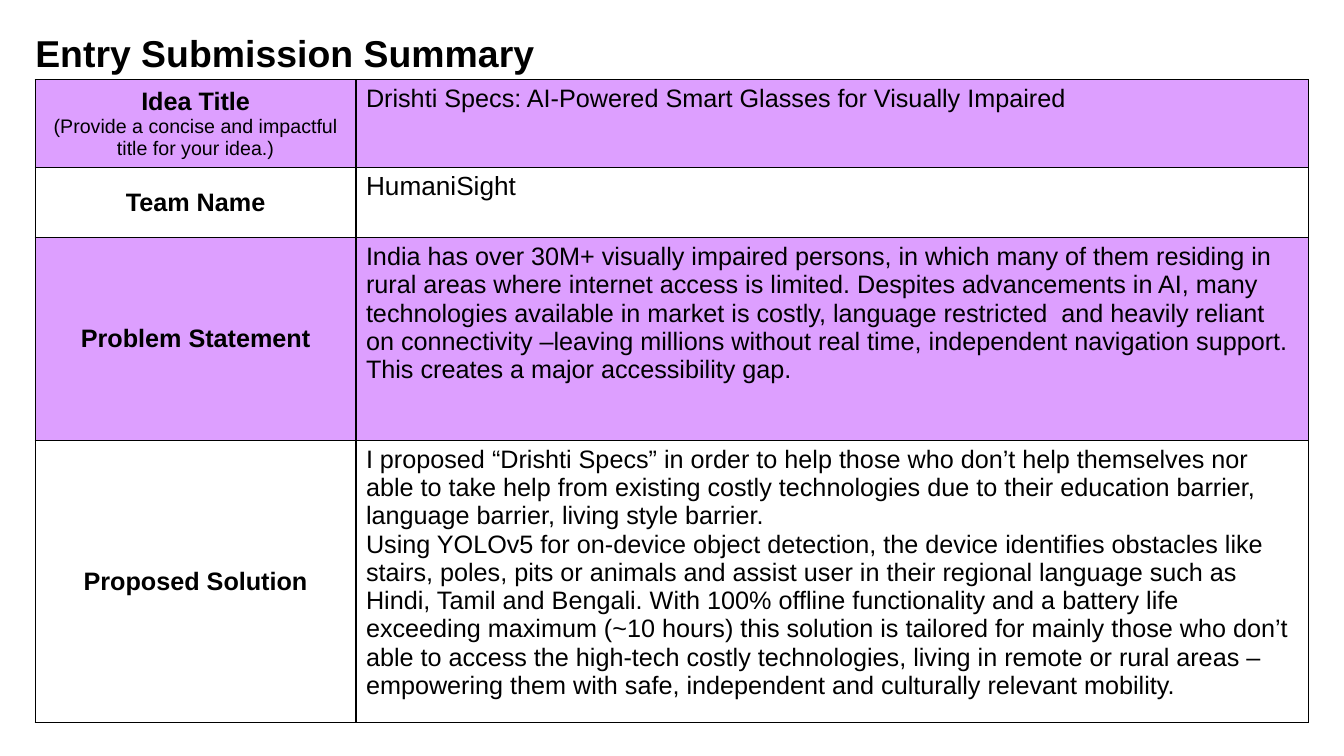
import lxml.etree
import pptx
import pptx.dml.color
import pptx.enum.text
import pptx.oxml.ns
import pptx.util

Cm = pptx.util.Cm
Pt = pptx.util.Pt
COLORS = {"ink": "000000", "band": "DD9FFF", "plain": "FFFFFF"}
BIG = {"size": Pt(26.7), "bold": True}
HEAD = {"size": Pt(18), "bold": True}
HINT = {"size": Pt(14), "bold": False}
BODY = {"size": Pt(18), "bold": False}
TEAM = {"size": Pt(18.7), "bold": False}
COLS = [8.08, 24]
ROWS = [
    (2.11, [("Idea Title", HEAD),
            ("(Provide a concise and impactful title for your idea.)", HINT)],
     BODY, ["Drishti Specs: AI-Powered Smart Glasses for Visually Impaired"]),
    (1.78, [("Team Name", HEAD)], TEAM, ["HumaniSight"]),
    (5.11, [("Problem Statement", HEAD)], BODY, [
        "India has over 30M+ visually impaired persons, in which many of them "
        "residing in rural areas where internet access is limited. Despites "
        "advancements in AI, many technologies available in market is costly, "
        "language restricted  and heavily reliant on connectivity –leaving "
        "millions without real time, independent navigation support. This "
        "creates a major accessibility gap."]),
    (6.65, [("Proposed Solution", HEAD)], BODY, [
        "I proposed “Drishti Specs” in order to help those who don’t help "
        "themselves nor able to take help from existing costly technologies "
        "due to their education barrier, language barrier, living style "
        "barrier.",
        "Using YOLOv5 for on-device object detection, the device identifies "
        "obstacles like stairs, poles, pits or animals and assist user in "
        "their regional language such as Hindi, Tamil and Bengali. With 100% "
        "offline functionality and a battery life exceeding maximum (~10 "
        "hours) this solution is tailored for mainly those who don’t able to "
        "access the high-tech costly technologies, living in remote or rural "
        "areas – empowering them with safe, independent and culturally "
        "relevant mobility."]),
]


def tint(name):
    """Return the named colour."""
    return pptx.dml.color.RGBColor.from_string(COLORS[name])


def write(para, text, form):
    """Add a run to a paragraph in the given format."""
    run = para.add_run()
    run.text = text
    for key, val in {"name": "Arial", **form}.items():
        setattr(run.font, key, val)
    run.font.color.rgb = tint("ink")


def frame(cell):
    """Draw a thin line on each side of a cell."""
    props = cell._tc.get_or_add_tcPr()
    name = pptx.oxml.ns.qn
    for side in ("a:lnL", "a:lnR", "a:lnT", "a:lnB"):
        line = lxml.etree.SubElement(props, name(side), w=str(Pt(1)))
        fill = lxml.etree.SubElement(line, name("a:solidFill"))
        lxml.etree.SubElement(fill, name("a:srgbClr"), val=COLORS["ink"])


def title(slide, left, top, width, height):
    """Place the slide title in its box."""
    box = slide.shapes.add_textbox(Cm(left), Cm(top), Cm(width), Cm(height))
    form = {"word_wrap": True, "margin_left": 0, "margin_top": 0,
            "margin_right": Cm(0.33), "margin_bottom": 0}
    for key, val in form.items():
        setattr(box.text_frame, key, val)
    para = box.text_frame.paragraphs[0]
    para.line_spacing = 0.8
    write(para, "Entry Submission Summary", BIG)


def label(cell, parts):
    """Fill a heading cell, one line for each part."""
    cell.vertical_anchor = pptx.enum.text.MSO_ANCHOR.MIDDLE
    para = cell.text_frame.paragraphs[0]
    para.alignment = pptx.enum.text.PP_ALIGN.CENTER
    for num, (text, form) in enumerate(parts):
        if num:
            para.add_line_break()
        write(para, text, form)


def answer(cell, form, texts):
    """Fill an answer cell, one paragraph for each text."""
    body = cell.text_frame
    for num, text in enumerate(texts):
        para = body.add_paragraph() if num else body.paragraphs[0]
        write(para, text, form)


def summary(slide, left, top):
    """Place the summary table at the given corner."""
    high = sum(row[0] for row in ROWS)
    grid = slide.shapes.add_table(
        len(ROWS), len(COLS), Cm(left), Cm(top), Cm(sum(COLS)), Cm(high)).table
    for key in ("first_row", "horz_banding"):
        setattr(grid, key, False)
    for col, wide in zip(grid.columns, COLS):
        col.width = Cm(wide)
    for num, (tall, parts, form, texts) in enumerate(ROWS):
        grid.rows[num].height = Cm(tall)
        label(grid.cell(num, 0), parts)
        answer(grid.cell(num, 1), form, texts)
        for cell in grid.rows[num].cells:
            frame(cell)
            cell.fill.solid()
            cell.fill.fore_color.rgb = tint("plain" if num % 2 else "band")


def main():
    """Build the slide and save it."""
    deck = pptx.Presentation()
    deck.slide_width, deck.slide_height = Cm(33.87), Cm(19.05)
    slide = deck.slides.add_slide(deck.slide_layouts[6])
    title(slide, 0.89, 0.99, 31.22, 2.36)
    summary(slide, 0.89, 2.01)
    deck.save("out.pptx")


if __name__ == "__main__":
    main()
